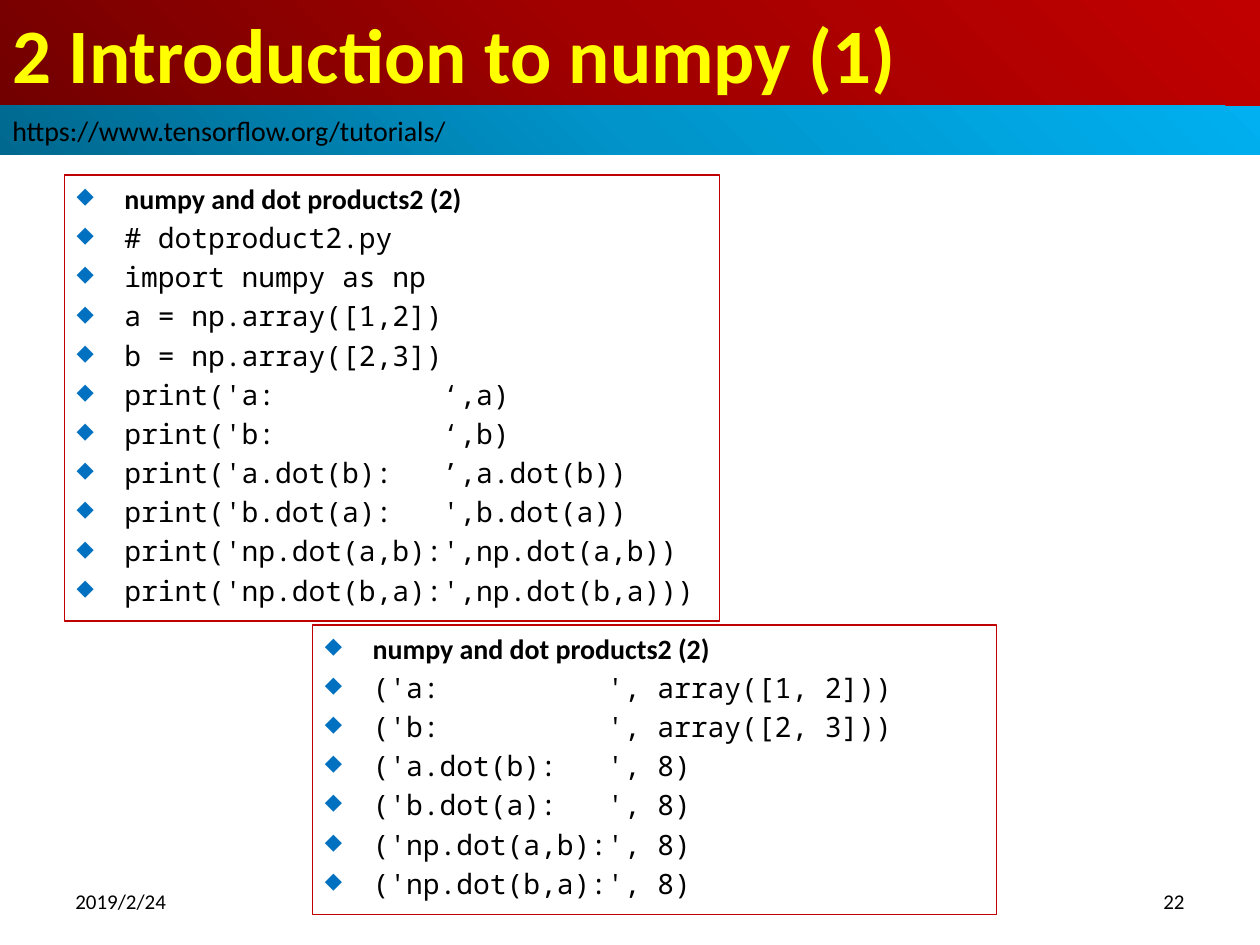
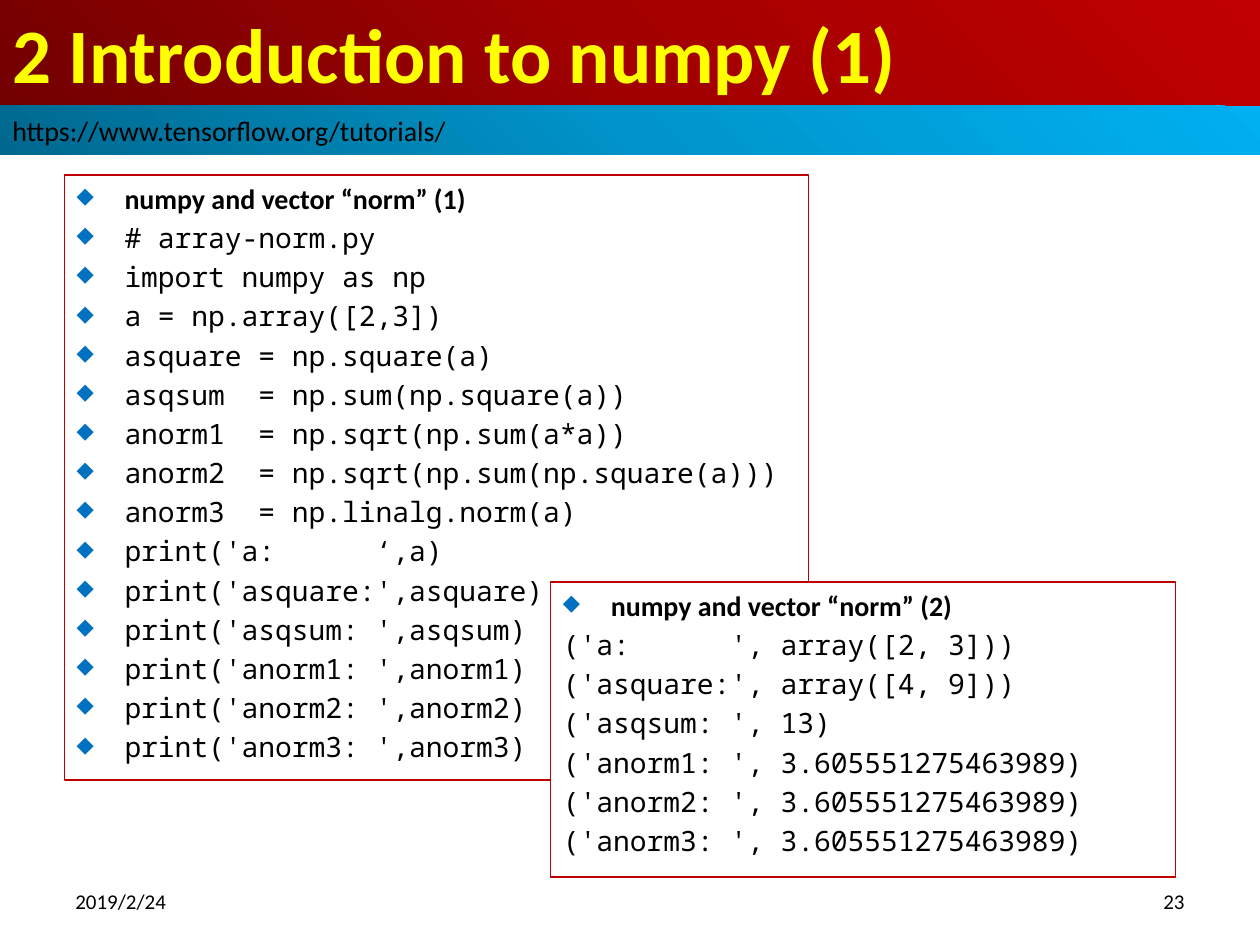
from dataclasses import dataclass

import lxml.etree
import pptx
import pptx.dml.color
import pptx.enum.shapes
import pptx.enum.text
import pptx.oxml.ns
import pptx.presentation
import pptx.shapes.autoshape
import pptx.slide
import pptx.text.text
import pptx.util

ANCHOR = pptx.enum.text.MSO_ANCHOR
ALIGN = pptx.enum.text.PP_ALIGN
RECTANGLE = pptx.enum.shapes.MSO_SHAPE.RECTANGLE


@dataclass(frozen=True)
class Theme:
    heading_font: str = "Calibri"
    code_font: str = "Noto Sans Mono"
    title_size: int = 44
    body_size: int = 16
    footer_size: int = 12
    title_color: str = "FFFF00"
    text_color: str = "000000"
    paper: str = "FFFFFF"
    frame_color: str = "C00000"
    bullet_color: str = "0070C0"
    title_band: tuple[str, ...] = ("720000", "A20000", "C00000")
    link_band: tuple[str, ...] = ("00688E", "0094CA", "00B0F0")


THEME = Theme()
WIDTH, HEIGHT = pptx.util.Inches(10), pptx.util.Inches(7.5)
COLUMN, ROW = WIDTH / 100, HEIGHT / 75  # a grid of 100 columns by 75 rows


@dataclass(frozen=True)
class Area:
    """A place on the grid, in columns and rows."""
    column: float
    row: float
    columns: float
    rows: float

    def box(self) -> tuple[int, int, int, int]:
        return (round(self.column * COLUMN), round(self.row * ROW),
                round(self.columns * COLUMN), round(self.rows * ROW))


@dataclass(frozen=True)
class Listing:
    """A framed block: a bold heading, then lines of code or output."""
    area: Area
    heading: str
    lines: tuple[str, ...]
    bulleted_lines: bool = True
    opaque: bool = False


@dataclass(frozen=True)
class Lesson:
    number: int
    code: Listing
    output: Listing


TITLE = "2 Introduction to numpy (1)"
LINK = "https://www.tensorflow.org/tutorials/"
DATE = "2019/2/24"
TITLE_AREA = Area(0, 0, 100, 8.4)
LINK_AREA = Area(0, 8.4, 100, 3.9)
DATE_AREA = Area(5, 69.5, 23.3, 4)
NUMBER_AREA = Area(71.7, 69.5, 23.3, 4)

LESSONS = (
    Lesson(
        22,
        Listing(Area(5.1, 13.9, 52, 35.4), "numpy and dot products2 (2)", (
            "# dotproduct2.py",
            "import numpy as np",
            "a = np.array([1,2])",
            "b = np.array([2,3])",
            "print('a:          ‘,a)",
            "print('b:          ‘,b)",
            "print('a.dot(b):   ’,a.dot(b))",
            "print('b.dot(a):   ',b.dot(a))",
            "print('np.dot(a,b):',np.dot(a,b))",
            "print('np.dot(b,a):',np.dot(b,a)))",
        )),
        Listing(Area(24.8, 49.6, 54.3, 23), "numpy and dot products2 (2)", (
            "('a:          ', array([1, 2]))",
            "('b:          ', array([2, 3]))",
            "('a.dot(b):   ', 8)",
            "('b.dot(a):   ', 8)",
            "('np.dot(a,b):', 8)",
            "('np.dot(b,a):', 8)",
        )),
    ),
    Lesson(
        23,
        Listing(Area(5.1, 13.9, 59.1, 48), "numpy and vector “norm” (1)", (
            "# array-norm.py",
            "import numpy as np",
            "a = np.array([2,3])",
            "asquare = np.square(a)",
            "asqsum  = np.sum(np.square(a))",
            "anorm1  = np.sqrt(np.sum(a*a))",
            "anorm2  = np.sqrt(np.sum(np.square(a)))",
            "anorm3  = np.linalg.norm(a)",
            "print('a:      ‘,a)",
            "print('asquare:',asquare)",
            "print('asqsum: ',asqsum)",
            "print('anorm1: ',anorm1)",
            "print('anorm2: ',anorm2)",
            "print('anorm3: ',anorm3)",
        )),
        Listing(Area(43.7, 46.2, 49.6, 23.4), "numpy and vector “norm” (2)", (
            "('a:      ', array([2, 3]))",
            "('asquare:', array([4, 9]))",
            "('asqsum: ', 13)",
            "('anorm1: ', 3.605551275463989)",
            "('anorm2: ', 3.605551275463989)",
            "('anorm3: ', 3.605551275463989)",
        ), bulleted_lines=False, opaque=True),
    ),
)


def rgb(color: str) -> pptx.dml.color.RGBColor:
    return pptx.dml.color.RGBColor.from_string(color)


def add_xml(parent: lxml.etree.ElementBase, tag: str, **attributes: str) -> lxml.etree.ElementBase:
    child = lxml.etree.SubElement(parent, pptx.oxml.ns.qn(f"a:{tag}"))
    for name, value in attributes.items():
        child.set(name, value)
    return child


def write(paragraph: pptx.text.text._Paragraph, text: str, *, size: int,
          font: str = THEME.heading_font, color: str = THEME.text_color,
          bold: bool = False, align: ALIGN = ALIGN.LEFT) -> None:
    paragraph.alignment = align
    run = paragraph.add_run()
    run.text = text
    run.font.name = font
    run.font.size = pptx.util.Pt(size)
    run.font.bold = bold
    run.font.color.rgb = rgb(color)


def space_and_bullet(paragraph: pptx.text.text._Paragraph, bulleted: bool) -> None:
    properties = paragraph._p.get_or_add_pPr()
    add_xml(add_xml(properties, "spcBef"), "spcPct", val="20000")
    if bulleted:
        indent = pptx.util.Inches(0.38)
        properties.set("marL", str(indent))
        properties.set("indent", str(-indent))
        add_xml(add_xml(properties, "buClr"), "srgbClr", val=THEME.bullet_color)
        add_xml(properties, "buSzPct", val="80000")
        add_xml(properties, "buChar", char="◆")


def add_rectangle(slide: pptx.slide.Slide, area: Area) -> pptx.shapes.autoshape.Shape:
    rectangle = slide.shapes.add_shape(RECTANGLE, *area.box())
    rectangle.shadow.inherit = False
    rectangle.text_frame.word_wrap = True
    return rectangle


def add_band(slide: pptx.slide.Slide, area: Area, colors: tuple[str, ...],
             text: str, **text_format) -> None:
    band = add_rectangle(slide, area)
    band.line.fill.background()
    # Radial gradient that spreads from the bottom left corner
    band.fill.gradient()
    gradient = band._element.spPr.find(pptx.oxml.ns.qn("a:gradFill"))
    for child in list(gradient):
        gradient.remove(child)
    stops = add_xml(gradient, "gsLst")
    for index, color in enumerate(colors):
        stop = add_xml(stops, "gs", pos=str(index * 100000 // (len(colors) - 1)))
        add_xml(stop, "srgbClr", val=color)
    circle = add_xml(gradient, "path", path="circle")
    add_xml(circle, "fillToRect", t="100000", r="100000")
    band.text_frame.vertical_anchor = ANCHOR.MIDDLE
    write(band.text_frame.paragraphs[0], text, **text_format)


def add_listing(slide: pptx.slide.Slide, listing: Listing) -> None:
    panel = add_rectangle(slide, listing.area)
    panel.line.color.rgb = rgb(THEME.frame_color)
    panel.line.width = pptx.util.Pt(0.75)
    if listing.opaque:
        panel.fill.solid()
        panel.fill.fore_color.rgb = rgb(THEME.paper)
    else:
        panel.fill.background()
    frame = panel.text_frame
    frame.vertical_anchor = ANCHOR.TOP
    heading = frame.paragraphs[0]
    space_and_bullet(heading, True)
    write(heading, listing.heading, size=THEME.body_size, bold=True)
    for line in listing.lines:
        paragraph = frame.add_paragraph()
        space_and_bullet(paragraph, listing.bulleted_lines)
        write(paragraph, line, size=THEME.body_size, font=THEME.code_font)


def add_footer(slide: pptx.slide.Slide, area: Area, text: str, align: ALIGN) -> None:
    frame = slide.shapes.add_textbox(*area.box()).text_frame
    frame.word_wrap = True
    frame.vertical_anchor = ANCHOR.MIDDLE
    write(frame.paragraphs[0], text, size=THEME.footer_size, align=align)


def add_lesson(deck: pptx.presentation.Presentation, lesson: Lesson) -> None:
    slide = deck.slides.add_slide(deck.slide_layouts[6])
    # Header bands
    add_band(slide, TITLE_AREA, THEME.title_band, TITLE,
             size=THEME.title_size, color=THEME.title_color, bold=True)
    add_band(slide, LINK_AREA, THEME.link_band, LINK, size=THEME.body_size)
    # Footer
    add_footer(slide, DATE_AREA, DATE, ALIGN.LEFT)
    add_footer(slide, NUMBER_AREA, str(lesson.number), ALIGN.RIGHT)
    # Code, with its output in front
    add_listing(slide, lesson.code)
    add_listing(slide, lesson.output)


def main() -> None:
    deck = pptx.Presentation()
    deck.slide_width, deck.slide_height = WIDTH, HEIGHT
    for lesson in LESSONS:
        add_lesson(deck, lesson)
    deck.save("out.pptx")


if __name__ == "__main__":
    main()
